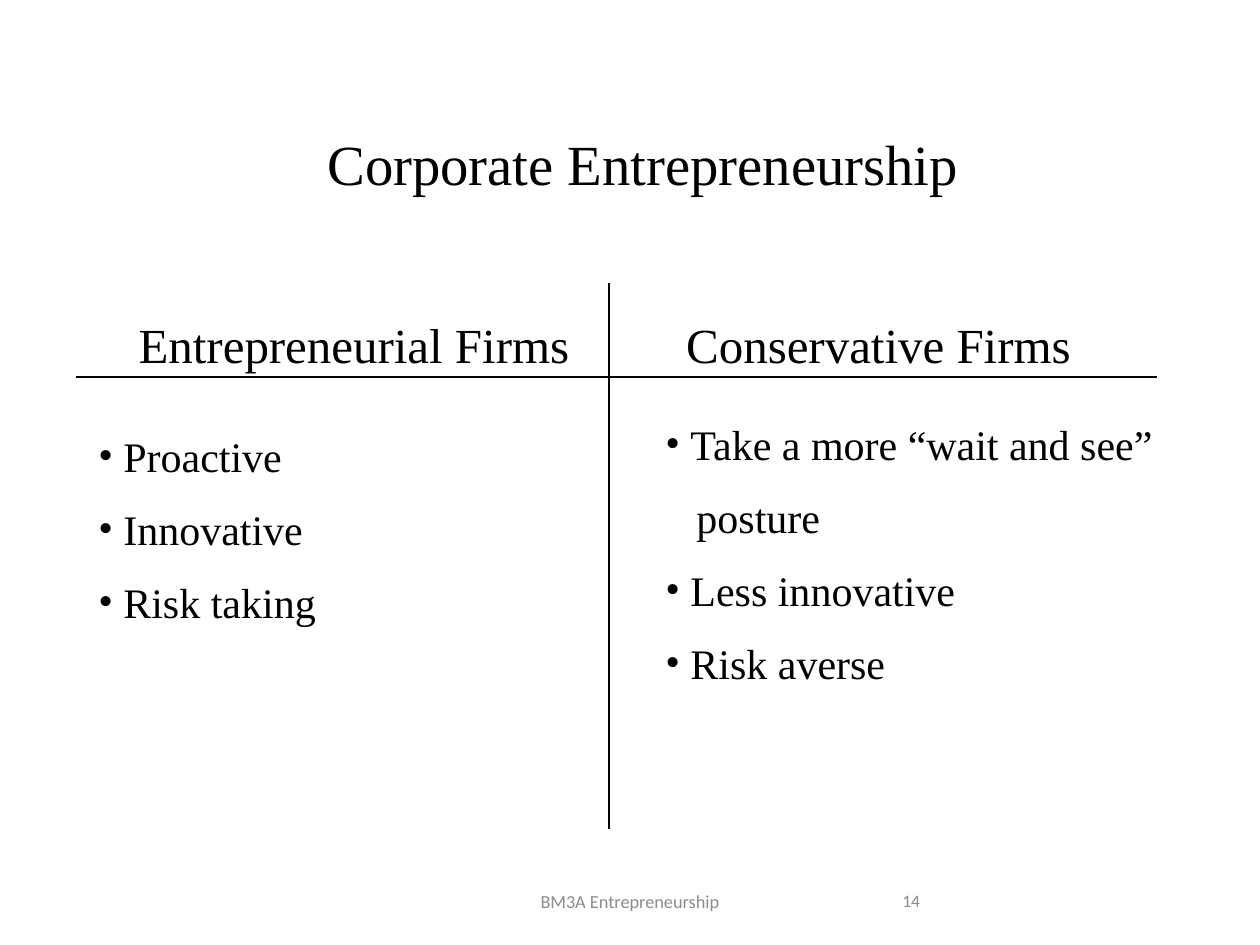
from lxml.etree import SubElement
from pptx import Presentation
from pptx.dml.color import RGBColor
from pptx.enum.shapes import MSO_CONNECTOR
from pptx.enum.text import MSO_ANCHOR, PP_ALIGN
from pptx.oxml.ns import qn
from pptx.util import Emu, Pt

BLACK = RGBColor(0x00, 0x00, 0x00)
GRAY = RGBColor(0x8C, 0x8C, 0x8C)
SERIF = "Times New Roman"
SANS = "Calibri"
BULLET_INDENT = 25
CONTINUATION_INDENT = 31


def px(n):
    return Emu(round(n * 914400 / 126))


def add_text(box, lines, size, font=SERIF, color=BLACK,
             align=PP_ALIGN.CENTER, anchor=MSO_ANCHOR.TOP):
    """Add a text box with one paragraph per line and return its paragraphs."""
    tf = s.shapes.add_textbox(*map(px, box)).text_frame
    tf.word_wrap = True
    tf.vertical_anchor = anchor
    tf.text = "\n".join(lines)
    for p in tf.paragraphs:
        p.alignment = align
        f = p.runs[0].font
        f.size, f.name, f.color.rgb = Pt(size), font, color
    return tf.paragraphs


prs = Presentation()
prs.slide_width, prs.slide_height = px(1260), px(945)
s = prs.slides.add_slide(prs.slide_layouts[6])

title = add_text((76, 130, 1134, 132), ["Corporate Entrepreneurship"], 32.4)
title[0].line_spacing = 0.9

# Cross dividing the two columns
for ends in ((609, 283, 609, 829), (76, 377, 1157, 377)):
    line = s.shapes.add_connector(MSO_CONNECTOR.STRAIGHT, *map(px, ends))
    line.line.color.rgb = BLACK
    line.line.width = Pt(0.75)
    SubElement(line._element.spPr, qn("a:effectLst"))

add_text((107, 308, 494, 72), ["Entrepreneurial Firms"], 28)
add_text((653, 308, 451, 72), ["Conservative Firms"], 28)

# Bulleted traits; a continuation line carries no bullet
columns = [
    ((86, 424, 514, 214), ["Proactive", "Innovative", "Risk taking"]),
    ((653, 412, 546, 280), ["Take a more “wait and see”", "posture",
                            "Less innovative", "Risk averse"]),
]
for box, traits in columns:
    for i, p in enumerate(add_text(box, traits, 24, align=PP_ALIGN.LEFT)):
        p.space_before = Pt(13 if i else 0)
        pPr = p._p.get_or_add_pPr()
        if p.text == "posture":
            pPr.set("marL", str(px(CONTINUATION_INDENT)))
            continue
        pPr.set("marL", str(px(BULLET_INDENT)))
        pPr.set("indent", str(-px(BULLET_INDENT)))
        SubElement(pPr, qn("a:buFont"), typeface=SERIF)
        SubElement(pPr, qn("a:buChar"), char="•")

add_text((417, 876, 426, 50), ["BM3A Entrepreneurship"], 10.5, SANS, GRAY,
         anchor=MSO_ANCHOR.MIDDLE)
add_text((890, 876, 284, 50), ["14"], 10, SANS, GRAY,
         PP_ALIGN.LEFT, MSO_ANCHOR.MIDDLE)

prs.save("out.pptx")
